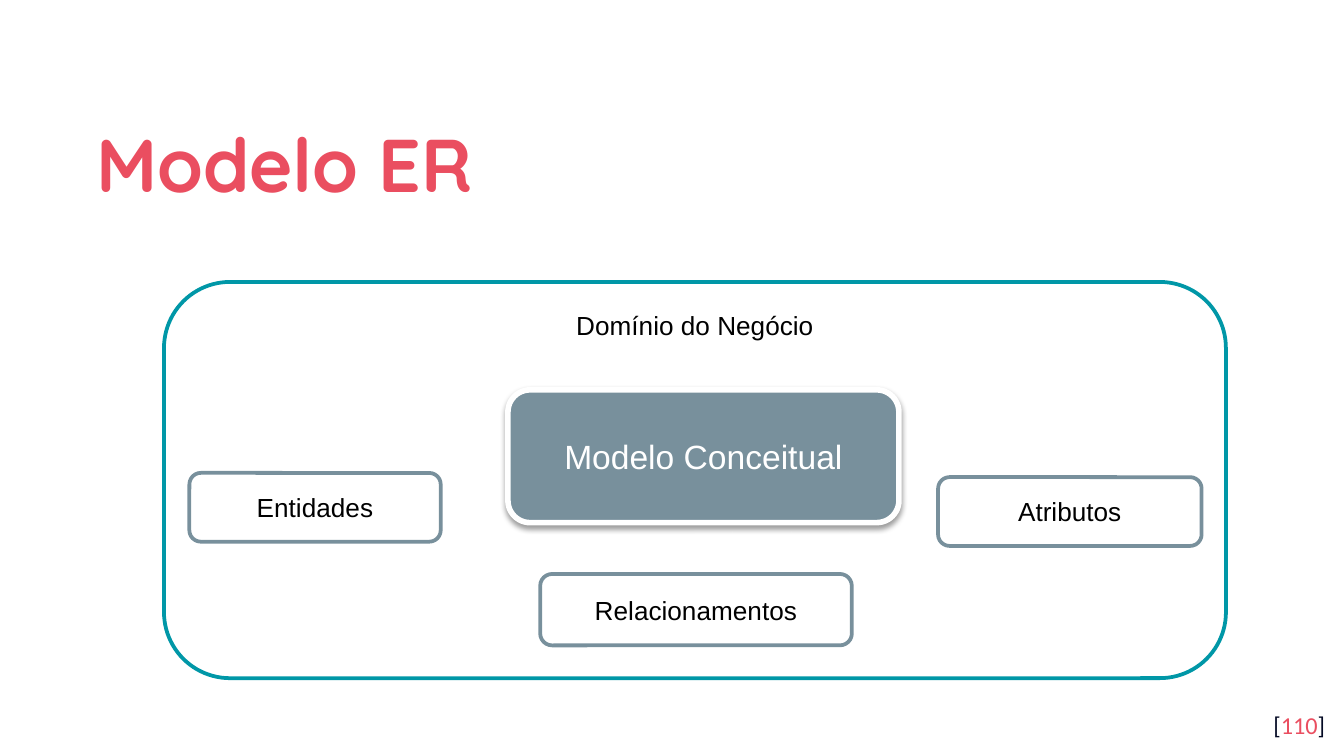
from lxml import etree
from pptx import Presentation, util as u
from pptx.dml.color import RGBColor
from pptx.enum import shapes, text
from pptx.oxml import ns

WHITE = RGBColor(0xFF, 0xFF, 0xFF)
BLACK = RGBColor(0x00, 0x00, 0x00)
TEAL = RGBColor(0x00, 0x97, 0xA7)
SLATE = RGBColor(0x78, 0x90, 0x9C)
CORAL = RGBColor(0xEA, 0x4E, 0x60)
NAVY = RGBColor(0x04, 0x0A, 0x24)

# Content: positions are left, top, width, height in cm
TITLE = [("Modelo ER", CORAL)]
PAGE_NUMBER = [("[", NAVY), ("110", CORAL), ("]", NAVY)]
DOMAIN = ("Domínio do Negócio", (3.1, 5.33, 20.07, 7.49))
MODEL = ("Modelo Conceitual", (9.6, 7.37, 7.39, 2.51))
CONCEPTS = [
    ("Atributos", (17.73, 9.02, 4.98, 1.3)),
    ("Entidades", (3.58, 8.94, 4.75, 1.3)),
    ("Relacionamentos", (10.21, 10.85, 5.89, 1.35)),
]

# Formats
TITLE_FONT = {"name": "Quicksand", "size": u.Pt(40), "bold": True}
NUMBER_FONT = {"name": "Calibri", "size": u.Pt(13)}
LABEL_FONT = {"name": "Arial", "size": u.Pt(14)}
MODEL_FONT = {"name": "Arial", "size": u.Pt(18)}
CENTER = {"alignment": text.PP_ALIGN.CENTER}
MIDDLE = {"vertical_anchor": text.MSO_ANCHOR.MIDDLE}
INSETS = {f"margin_{side}": u.Cm(0.25) for side in ("left", "top", "right", "bottom")}


def apply(target, values):
    for name, value in values.items():
        setattr(target, name, value)


def write(shape, runs, font, paragraph_format, frame_format):
    frame = shape.text_frame
    apply(frame, {"word_wrap": True, **frame_format})
    paragraph = frame.paragraphs[0]
    apply(paragraph, paragraph_format)
    for words, color in runs:
        run = paragraph.add_run()
        run.text = words
        apply(run.font, font)
        run.font.color.rgb = color


def add_text(slide, box, runs, font, paragraph_format, frame_format):
    shape = slide.shapes.add_textbox(*map(u.Cm, box))
    write(shape, runs, font, paragraph_format, {**INSETS, **frame_format})


def add_box(slide, item, fill, line, width, color=BLACK, font=LABEL_FONT, frame_format=MIDDLE):
    label, box = item
    shape = slide.shapes.add_shape(shapes.MSO_SHAPE.ROUNDED_RECTANGLE, *map(u.Cm, box))
    shape.shadow.inherit = False
    shape.fill.solid()
    shape.fill.fore_color.rgb = fill
    shape.line.color.rgb = line
    shape.line.width = u.Pt(width)
    write(shape, [(label, color)], font, CENTER, frame_format)
    return shape


def add_shadow(shape):
    effects = shape.element.spPr.find(ns.qn("a:effectLst"))
    shadow = etree.SubElement(
        effects, ns.qn("a:outerShdw"), blurRad=str(u.Pt(3.1)), dist=str(u.Pt(1.6)),
        dir=str(90 * 60000), rotWithShape="0")
    color = etree.SubElement(shadow, ns.qn("a:srgbClr"), val=str(BLACK))
    etree.SubElement(color, ns.qn("a:alpha"), val="38000")


def main():
    presentation = Presentation()
    presentation.slide_width = u.Cm(25.4)
    presentation.slide_height = u.Cm(14.29)
    slide = presentation.slides.add_slide(presentation.slide_layouts[6])

    # Business domain, with its label at the top
    add_box(slide, DOMAIN, WHITE, TEAL, 2, frame_format={
        "vertical_anchor": text.MSO_ANCHOR.TOP, "margin_top": u.Cm(0.16)})

    # Title and page number
    add_text(slide, (1.57, 1.78, 22.28, 2.34), TITLE, TITLE_FONT,
             {"line_spacing": 1.15}, MIDDLE)
    add_text(slide, (23.77, 13.18, 1.52, 1.09), PAGE_NUMBER, NUMBER_FONT,
             {"alignment": text.PP_ALIGN.RIGHT}, {})

    # Conceptual model and its concepts
    add_shadow(add_box(slide, MODEL, SLATE, WHITE, 3, WHITE, MODEL_FONT))
    for concept in CONCEPTS:
        add_box(slide, concept, WHITE, SLATE, 2)

    presentation.save("out.pptx")


if __name__ == "__main__":
    main()
